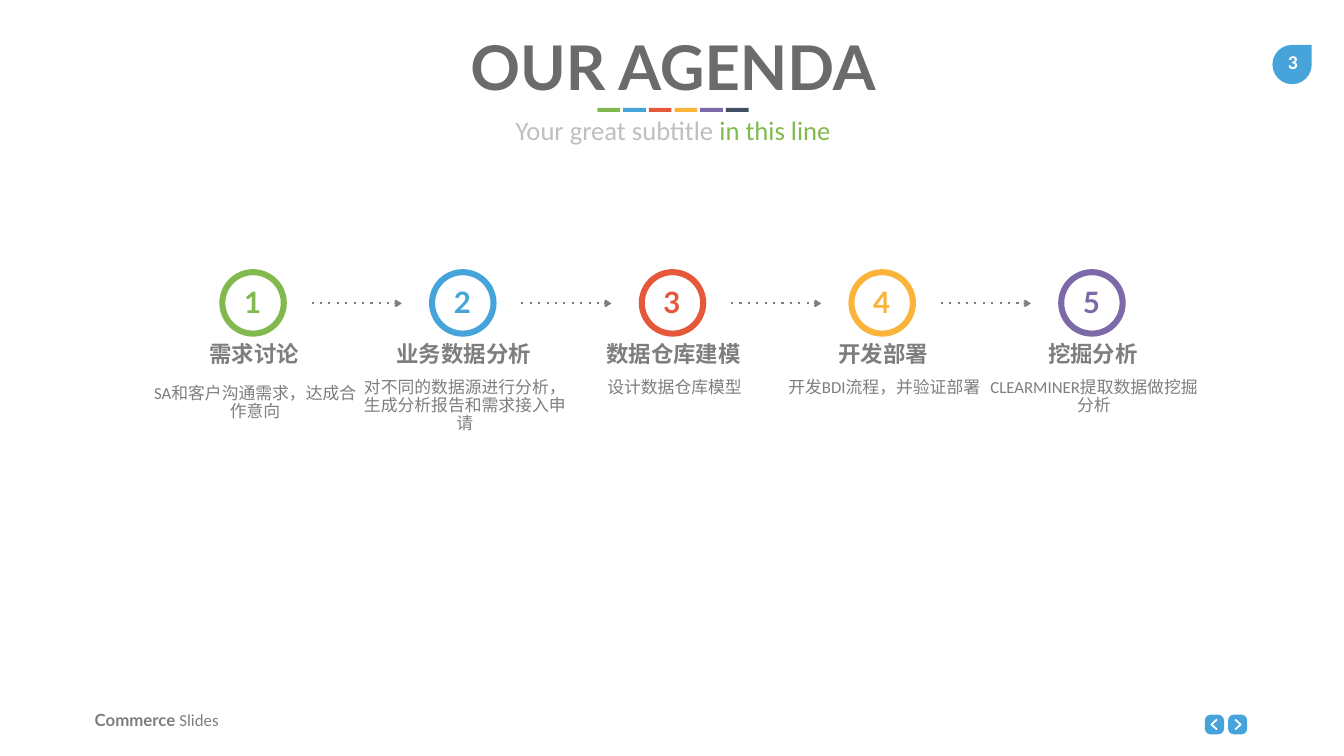
from lxml.etree import SubElement
from pptx import Presentation
from pptx.dml.color import RGBColor
from pptx.enum.dml import MSO_LINE
from pptx.enum.shapes import MSO_CONNECTOR, MSO_SHAPE
from pptx.enum.text import MSO_ANCHOR, MSO_AUTO_SIZE, PP_ALIGN
from pptx.oxml.ns import qn
from pptx.util import Inches, Pt

WIDTH, HEIGHT = 26.66, 15
BLUE, GRAY, WHITE = "46A4DB", "7E7E7E", "FFFFFF"
PALETTE = ["81B94F", BLUE, "E5583A", "F9B439", "7C69A8", "404F64"]
STEPS = [
    ("需求讨论", "SA和客户沟通需求，达成合作意向", 0.12),
    ("业务数据分析", "对不同的数据源进行分析，生成分析报告和需求接入申请", 0),
    ("数据仓库建模", "设计数据仓库模型", 0),
    ("开发部署", "开发BDI流程，并验证部署", 0),
    ("挖掘分析", "CLEARMINER提取数据做挖掘分析", 0),
]


def rgb(color):
    """Turn a hex string into a colour."""
    return RGBColor.from_string(color)


def emu(*lengths):
    """Turn lengths in inches into slide units."""
    return [Inches(n) for n in lengths]


def style(size, color, bold=False, name="Lato"):
    """Collect the format values of a run."""
    return {"size": Pt(size), "bold": bold, "name": name, "color": color}


def write(s, runs, align=PP_ALIGN.CENTER, spacing=1.0, inset=(0.2, 0.1), wrap=True):
    """Fill a shape with one paragraph of formatted runs."""
    tf = s.text_frame
    mx, my = emu(*inset)
    frame = {
        "auto_size": MSO_AUTO_SIZE.NONE, "word_wrap": wrap, "vertical_anchor": MSO_ANCHOR.TOP,
        "margin_left": mx, "margin_right": mx, "margin_top": my, "margin_bottom": my,
    }
    for key, value in frame.items():
        setattr(tf, key, value)
    p = tf.paragraphs[0]
    p.alignment, p.line_spacing, p.space_before = align, spacing, Pt(0)
    for text, look in runs:
        r = p.add_run()
        r.text = text
        for key, value in look.items():
            if key == "color":
                r.font.color.rgb = rgb(value)
            else:
                setattr(r.font, key, value)


def add_text(slide, box, runs, **options):
    """Add a text box."""
    write(slide.shapes.add_textbox(*emu(*box)), runs, **options)


def add_solid(slide, kind, box, color, adjust=None):
    """Add a preset shape in one flat colour."""
    s = slide.shapes.add_shape(kind, *emu(*box))
    s.shadow.inherit = False
    s.fill.solid()
    s.fill.fore_color.rgb = rgb(color)
    s.line.fill.background()
    if adjust is not None:
        s.adjustments[0] = adjust


def add_arrow(slide, x, y, length):
    """Add a dotted arrow pointing right."""
    s = slide.shapes.add_connector(MSO_CONNECTOR.STRAIGHT, *emu(x, y, x + length, y))
    s.line.color.rgb = rgb(GRAY)
    s.line.width = Pt(3)
    s.line.dash_style = MSO_LINE.ROUND_DOT
    ln = s.line._get_or_add_ln()
    ln.find(qn("a:prstDash")).set("val", "dot")
    SubElement(ln, qn("a:tailEnd"), type="arrow")
    SubElement(s._element.spPr, qn("a:effectLst"))


def add_header(slide, box):
    """Place the title, the row of colour bars and the subtitle."""
    x, y, w, h = box
    title, subtitle = slide.placeholders
    for s, top, height in ((title, y, 1.58), (subtitle, y + h - 0.74, 0.74)):
        s.left, s.top, s.width, s.height = emu(x, top, w, height)
    write(title, [("OUR AGENDA", style(88, "6B6B6B", True))], inset=(0.1, 0.05))
    write(subtitle, [
        ("Your great subtitle ", style(38, "BFBFBF", name="Calibri")),
        ("in this line", style(38, PALETTE[0], name="Calibri")),
    ], inset=(0.1, 0.05))
    bar, pitch = 0.45, 0.51
    left = x + (w - bar - pitch * (len(PALETTE) - 1)) / 2
    for i, color in enumerate(PALETTE):
        add_solid(slide, MSO_SHAPE.RECTANGLE, (left + i * pitch, y + 1.61, bar, 0.08), color)


def add_step(slide, box, number, color, heading, detail, drop):
    """Place one numbered ring with its heading and description."""
    x, y, w, ring = box
    mid = x + w / 2
    add_solid(slide, MSO_SHAPE.DONUT, (mid - ring / 2, y, ring, ring), color, 0.09)
    add_text(slide, (mid - 0.58, y + 0.2, 1.14, 0.91), [(str(number), style(42, color, True))])
    add_text(slide, (mid - 2.05, y + 1.31, 4.14, 0.74), [(heading, style(32, GRAY, True))])
    add_text(slide, (mid - 2.25, y + 2.07 + drop, 4.58, 1.36),
             [(detail, style(24, GRAY, name="Calibri"))], spacing=0.9)


def add_timeline(slide, box):
    """Place the steps in equal columns with arrows between them."""
    x, y, w, h = box
    column = w / len(STEPS)
    for i, (step, color) in enumerate(zip(STEPS, PALETTE)):
        left = x + i * column
        add_step(slide, (left, y, column, h), i + 1, color, *step)
        if i < len(STEPS) - 1:
            add_arrow(slide, left + column / 2 + 1.16, y + h / 2 + 0.01, 1.79)


def add_page_mark(slide, box):
    """Place the page number on its drop."""
    x, y, w, h = box
    add_solid(slide, MSO_SHAPE.TEAR, box, BLUE)
    add_text(slide, (x - 0.03, y + 0.01, w + 0.09, h - 0.11),
             [("3", style(28, WHITE, True, "Calibri"))], wrap=False)


def add_button(slide, box, direction):
    """Place a navigation button whose chevron points left (-1) or right (1)."""
    x, y, w, h = box
    add_solid(slide, MSO_SHAPE.ROUNDED_RECTANGLE, box, BLUE, 0.3)
    mid, center = x + w / 2, y + h / 2
    back, tip = mid - 0.05 * direction, mid + 0.06 * direction
    points = [(back, center - 0.1), (tip, center), (back, center + 0.1)]
    builder = slide.shapes.build_freeform(*emu(*points[0]))
    builder.add_line_segments([emu(*point) for point in points[1:]], close=False)
    s = builder.convert_to_shape()
    s.shadow.inherit = False
    s.fill.background()
    s.line.color.rgb = rgb(WHITE)
    s.line.width = Pt(2.5)


def add_footer(slide, box):
    """Place the deck name and the navigation buttons."""
    x, y, w, h = box
    add_text(slide, (x, y, 4, h), [
        ("Commerce ", style(24, GRAY, True)), ("Slides", style(24, GRAY, name="Calibri")),
    ], align=PP_ALIGN.LEFT, inset=(0.1, 0.05))
    for left, direction in ((x + w - 0.84, -1), (x + w - 0.38, 1)):
        add_button(slide, (left, y + 0.14, 0.38, 0.39), direction)


def main():
    """Build the agenda slide."""
    prs = Presentation()
    prs.slide_width, prs.slide_height = emu(WIDTH, HEIGHT)
    slide = prs.slides.add_slide(prs.slide_layouts[0])
    add_footer(slide, (1.78, 14.04, 22.96, 0.5))
    add_page_mark(slide, (25.24, 0.89, 0.78, 0.78))
    add_timeline(slide, (2.94, 5.34, 20.8, 1.34))
    add_header(slide, (1.9, 0.53, 22.9, 2.41))
    prs.save("out.pptx")


if __name__ == "__main__":
    main()
